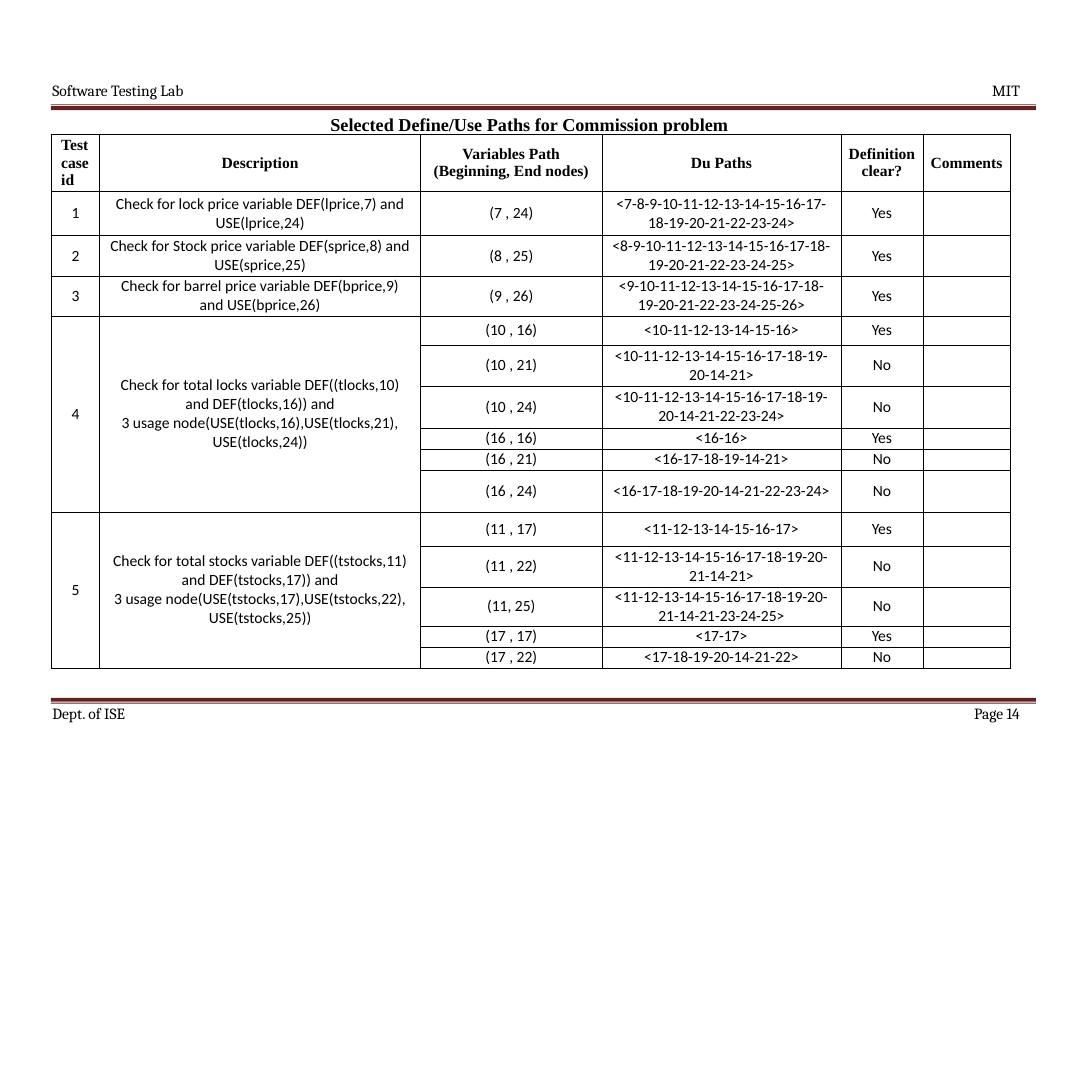
from itertools import accumulate

from lxml.etree import SubElement
from pptx import Presentation
from pptx.dml.color import RGBColor
from pptx.enum.text import MSO_ANCHOR, PP_ALIGN
from pptx.oxml import parse_xml
from pptx.oxml.ns import nsdecls, qn
from pptx.util import Inches, Pt

SIDE = 11.69
BLACK = "000000"
MAROON = "612322"
CENTER = PP_ALIGN.CENTER

COLUMN_WIDTHS = [4.4, 29.4, 16.6, 21.9, 7.5, 8]
ROW_HEIGHTS = [5.22, 4.03, 3.75, 3.66, 2.66, 3.75, 3.85, 1.92,
               1.92, 3.85, 3.11, 3.75, 3.57, 1.92, 1.92]
HEADINGS = ["Test case id", "Description", "Variables Path\v(Beginning, End nodes)",
            "Du Paths", "Definition clear?", "Comments"]
TEST_CASES = [
    ("Check for lock price variable DEF(lprice,7) and USE(lprice,24)", [
        ("(7 , 24)", "<7-8-9-10-11-12-13-14-15-16-17-\n18-19-20-21-22-23-24>", "Yes"),
    ]),
    ("Check for Stock price variable DEF(sprice,8) and USE(sprice,25)", [
        ("(8 , 25)", "<8-9-10-11-12-13-14-15-16-17-18-\n19-20-21-22-23-24-25>", "Yes"),
    ]),
    ("Check for barrel price variable DEF(bprice,9) and USE(bprice,26)", [
        ("(9 , 26)", "<9-10-11-12-13-14-15-16-17-18-\n19-20-21-22-23-24-25-26>", "Yes"),
    ]),
    ("Check for total locks variable DEF((tlocks,10) and DEF(tlocks,16)) and\n"
     "3 usage node(USE(tlocks,16),USE(tlocks,21), USE(tlocks,24))", [
        ("(10 , 16)", "<10-11-12-13-14-15-16>", "Yes"),
        ("(10 , 21)", "<10-11-12-13-14-15-16-17-18-19-\n20-14-21>", "No"),
        ("(10 , 24)", "<10-11-12-13-14-15-16-17-18-19-\n20-14-21-22-23-24>", "No"),
        ("(16 , 16)", "<16-16>", "Yes"),
        ("(16 , 21)", "<16-17-18-19-14-21>", "No"),
        ("(16 , 24)", "<16-17-18-19-20-14-21-22-23-24>", "No"),
    ]),
    ("Check for total stocks variable DEF((tstocks,11) and DEF(tstocks,17)) and\n"
     "3 usage node(USE(tstocks,17),USE(tstocks,22), USE(tstocks,25))", [
        ("(11 , 17)", "<11-12-13-14-15-16-17>", "Yes"),
        ("(11 , 22)", "<11-12-13-14-15-16-17-18-19-20-\n21-14-21>", "No"),
        ("(11, 25)", "<11-12-13-14-15-16-17-18-19-20-\n21-14-21-23-24-25>", "No"),
        ("(17 , 17)", "<17-17>", "Yes"),
        ("(17 , 22)", "<17-18-19-20-14-21-22>", "No"),
    ]),
]


def color(code):
    return RGBColor.from_string(code)


def percent(value):
    return Inches(SIDE * value / 100)


def write(frame, text, font="Calibri", size=12, bold=False, align=CENTER):
    frame.text = text
    for paragraph in frame.paragraphs:
        paragraph.alignment = align
        for run in paragraph.runs:
            run.font.name = font
            run.font.size = Pt(size)
            run.font.bold = bold
            run.font.color.rgb = color(BLACK)
        if not paragraph.runs:
            SubElement(paragraph._p, qn("a:endParaRPr"), sz=str(size * 100))


class Page:
    def __init__(self, slide):
        self.slide = slide

    def text(self, text, left, top, width, height, **style):
        box = self.slide.shapes.add_textbox(*map(percent, (left, top, width, height)))
        frame = box.text_frame
        frame.margin_left = frame.margin_right = 0
        frame.margin_top = frame.margin_bottom = 0
        frame.word_wrap = True
        write(frame, text, **style)

    def double_rule(self, left, right, bands):
        first_top = bands[0][0]
        builder = self.slide.shapes.build_freeform(percent(left), percent(first_top))
        for top, bottom in bands:
            corners = [(left, top), (right, top), (right, bottom), (left, bottom)]
            points = [(percent(x), percent(y)) for x, y in corners]
            if top != first_top:
                builder.move_to(*points[0])
            builder.add_line_segments(points[1:], close=True)
        shape = builder.convert_to_shape()
        shape.shadow.inherit = False
        shape.fill.solid()
        shape.fill.fore_color.rgb = color(MAROON)
        shape.line.fill.background()

    def table(self, left, top, widths, heights):
        frame = self.slide.shapes.add_table(
            len(heights), len(widths), percent(left), percent(top),
            percent(sum(widths)), percent(sum(heights)))
        table = frame.table
        table.first_row = table.horz_banding = False
        for column, width in zip(table.columns, widths):
            column.width = percent(width)
        for row, height in zip(table.rows, heights):
            row.height = percent(height)
            for cell, width in zip(row.cells, widths):
                self.cell(cell, width)
        return table

    def cell(self, cell, width):
        cell.margin_top = cell.margin_bottom = 0
        cell.margin_left = cell.margin_right = percent(width * 0.03)
        cell.vertical_anchor = MSO_ANCHOR.MIDDLE
        cell.fill.background()
        properties = cell._tc.get_or_add_tcPr()
        for index, side in enumerate("LRTB"):
            properties.insert(index, parse_xml(
                f'<a:ln{side} {nsdecls("a")} w="{Pt(0.5)}"><a:solidFill>'
                f'<a:srgbClr val="{BLACK}"/></a:solidFill></a:ln{side}>'))
        write(cell.text_frame, "")


def fill_table(table):
    for cell, heading in zip(table.rows[0].cells, HEADINGS):
        write(cell.text_frame, heading, font="Times New Roman", bold=True)
    corner = table.cell(0, 0)
    corner.margin_left = percent(COLUMN_WIDTHS[0] * 0.2)
    corner.text_frame.paragraphs[0].alignment = PP_ALIGN.LEFT

    starts = accumulate((len(paths) for _, paths in TEST_CASES), initial=1)
    for number, (start, (description, paths)) in enumerate(zip(starts, TEST_CASES), 1):
        for column, text in enumerate((str(number), description)):
            cell = table.cell(start, column)
            if len(paths) > 1:
                cell.merge(table.cell(start + len(paths) - 1, column))
            write(cell.text_frame, text)
        for row, values in enumerate(paths, start):
            for column, value in enumerate(values, 2):
                write(table.cell(row, column).text_frame, value)


def main():
    presentation = Presentation()
    presentation.slide_width = presentation.slide_height = Inches(SIDE)
    page = Page(presentation.slides.add_slide(presentation.slide_layouts[6]))

    for top, left_text, right_text in [(7.45, "Software Testing Lab", "MIT"),
                                       (64.5, "Dept. of ISE", "Page 14")]:
        page.text(left_text, 4.8, top, 20, 2, font="Cambria", align=PP_ALIGN.LEFT)
        page.text(right_text, 73.4, top, 20, 2, font="Cambria", align=PP_ALIGN.RIGHT)
    page.double_rule(4.65, 94.85, [(9.55, 9.64), (9.73, 10.09)])
    page.double_rule(4.65, 94.85, [(63.9, 64.26), (64.35, 64.44)])
    page.text("Selected Define/Use Paths for Commission problem", 28.5, 10.35, 40, 2,
              font="Times New Roman", size=14, bold=True)
    fill_table(page.table(4.73, 12.3, COLUMN_WIDTHS, ROW_HEIGHTS))

    presentation.save("out.pptx")


if __name__ == "__main__":
    main()
